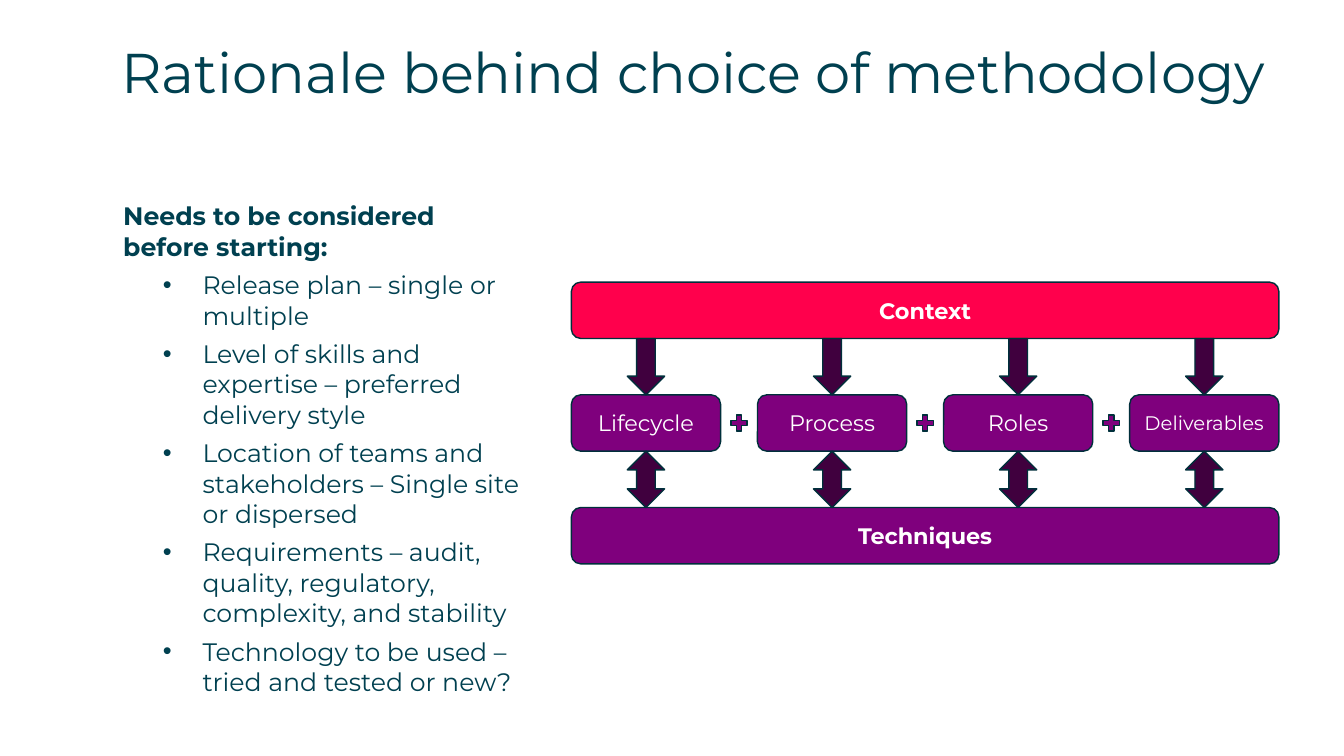
from lxml.etree import SubElement
from pptx import Presentation
from pptx.dml.color import RGBColor
from pptx.enum.shapes import MSO_SHAPE as SHAPE
from pptx.enum.text import MSO_ANCHOR as ANCHOR, MSO_AUTO_SIZE as AUTO, PP_ALIGN as ALIGN
from pptx.oxml.ns import qn
from pptx.util import Cm, Pt

TEAL = RGBColor(0x00, 0x40, 0x50)
OUTLINE = RGBColor(0x00, 0x2F, 0x3B)
RED = RGBColor(0xFF, 0x00, 0x4C)
PURPLE = RGBColor(0x7F, 0x00, 0x7D)
PLUM = RGBColor(0x40, 0x00, 0x3E)
WHITE = RGBColor(0xFF, 0xFF, 0xFF)

HEADING = "Needs to be considered before starting:"
FACTORS = [
    "Release plan – single or multiple",
    "Level of skills and expertise – preferred delivery style",
    "Location of teams and stakeholders – Single site or dispersed",
    "Requirements – audit, quality, regulatory, complexity, and stability",
    "Technology to be used – tried and tested or new?",
]
ELEMENTS = [("Lifecycle", 16), ("Process", 16), ("Roles", 16), ("Deliverables", 14)]

LEFT, TOP = 14.4, 7.11
ROW = 1.42
BOX_WIDTH, STEP = 3.76, 4.69
BAR_WIDTH = STEP * (len(ELEMENTS) - 1) + BOX_WIDTH
ARROW_WIDTH, PLUS = 0.94, 0.56


class SlideBuilder:
    font = "Montserrat"

    def __init__(self, s):
        self.s = s

    def run(self, p, text, size, color, bold=False):
        r = p.add_run()
        r.text = text
        r.font.name = self.font
        r.font.size = Pt(size)
        r.font.bold = bold
        r.font.color.rgb = color

    def place(self, sp, x, y, w, h):
        sp.left, sp.top, sp.width, sp.height = Cm(x), Cm(y), Cm(w), Cm(h)
        tf = sp.text_frame
        tf.word_wrap = True
        tf.auto_size = AUTO.NONE
        tf.vertical_anchor = ANCHOR.TOP
        return tf

    def title(self, text, x, y, w, h):
        tf = self.place(self.s.shapes.title, x, y, w, h)
        tf.margin_left = tf.margin_right = tf.margin_top = tf.margin_bottom = 0
        p = tf.paragraphs[0]
        p.alignment = ALIGN.LEFT
        self.run(p, text, 40, TEAL)

    def bullet(self, p):
        pPr = p._p.get_or_add_pPr()
        pPr.set("marL", str(Cm(2)))
        pPr.set("indent", str(-Cm(1)))
        SubElement(pPr, qn("a:buFont")).set("typeface", "Arial")
        SubElement(pPr, qn("a:buChar")).set("char", "•")

    def body(self, heading, items, x, y, w, h):
        tf = self.place(self.s.placeholders[1], x, y, w, h)
        for i, text in enumerate([heading, *items]):
            p = tf.paragraphs[0] if i == 0 else tf.add_paragraph()
            if i:
                p.level = 1
                self.bullet(p)
            else:
                pPr = p._p.get_or_add_pPr()
                pPr.set("marL", "0")
                pPr.set("indent", "0")
                SubElement(pPr, qn("a:buNone"))
            p.space_before, p.space_after = Pt(0), Pt(6)
            self.run(p, text, 18, TEAL, bold=i == 0)

    def shape(self, kind, x, y, w, h, fill):
        sp = self.s.shapes.add_shape(kind, Cm(x), Cm(y), Cm(w), Cm(h))
        sp.shadow.inherit = False
        sp.fill.solid()
        sp.fill.fore_color.rgb = fill
        sp.line.color.rgb = OUTLINE
        sp.line.width = Pt(1)
        return sp

    def box(self, text, x, y, w, fill, size=16, bold=False):
        tf = self.shape(SHAPE.ROUNDED_RECTANGLE, x, y, w, ROW, fill).text_frame
        tf.word_wrap = True
        tf.vertical_anchor = ANCHOR.MIDDLE
        p = tf.paragraphs[0]
        p.alignment = ALIGN.CENTER
        self.run(p, text, size, WHITE, bold)


def main():
    prs = Presentation()
    prs.slide_width, prs.slide_height = Cm(33.87), Cm(19.05)
    b = SlideBuilder(prs.slides.add_slide(prs.slide_layouts[1]))

    b.title("Rationale behind choice of methodology", 3.07, 0.94, 30.15, 1.9)
    b.body(HEADING, FACTORS, 2.85, 4.93, 10.62, 12.88)

    b.box("Context", LEFT, TOP, BAR_WIDTH, RED, bold=True)
    b.box("Techniques", LEFT, TOP + 4 * ROW, BAR_WIDTH, PURPLE, bold=True)
    for i, (name, size) in enumerate(ELEMENTS):
        x = LEFT + i * STEP
        b.box(name, x, TOP + 2 * ROW, BOX_WIDTH, PURPLE, size)
        arrow_x = x + (BOX_WIDTH - ARROW_WIDTH) / 2
        b.shape(SHAPE.DOWN_ARROW, arrow_x, TOP + ROW, ARROW_WIDTH, ROW, PLUM)
        b.shape(SHAPE.UP_DOWN_ARROW, arrow_x, TOP + 3 * ROW, ARROW_WIDTH, ROW, PLUM)
        if i:
            plus_x = x - (STEP - BOX_WIDTH + PLUS) / 2
            plus_y = TOP + 2.5 * ROW - PLUS / 2
            b.shape(SHAPE.MATH_PLUS, plus_x, plus_y, PLUS, PLUS, PURPLE)

    prs.save("out.pptx")


if __name__ == "__main__":
    main()
